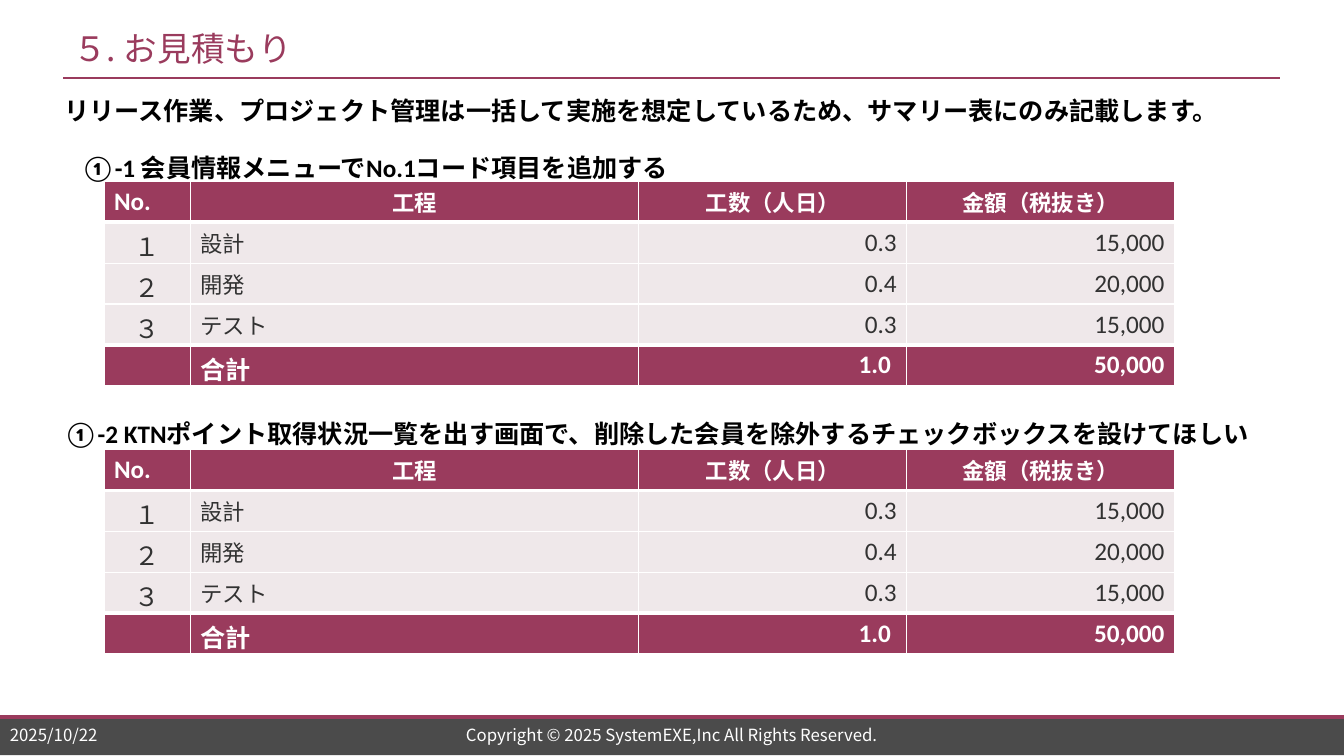
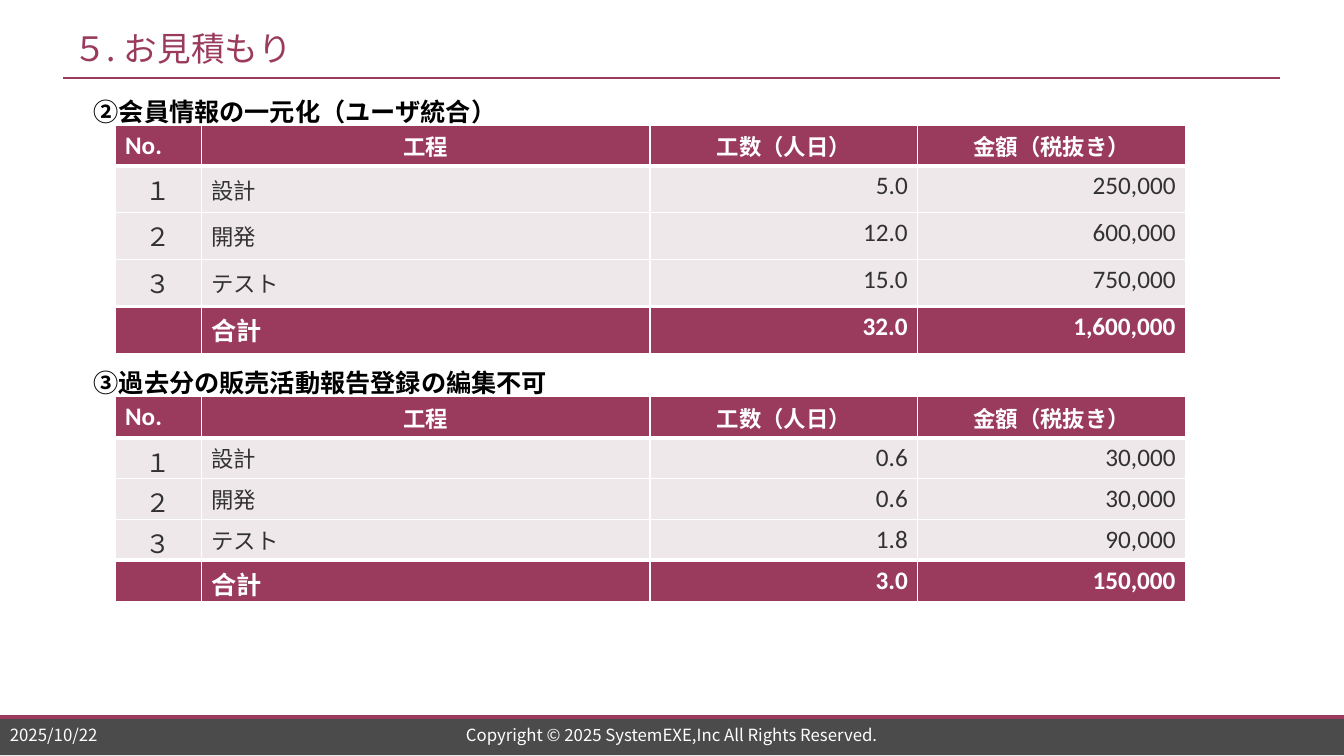
"""Build two estimate slides with cost tables."""
import lxml.etree
import pptx
import pptx.dml.color
import pptx.enum.shapes
import pptx.enum.text
import pptx.oxml.ns
import pptx.util

Cm = pptx.util.Cm
Pt = pptx.util.Pt
RGB = pptx.dml.color.RGBColor
ALIGN = pptx.enum.text.PP_ALIGN
ANCHOR = pptx.enum.text.MSO_ANCHOR
qn = pptx.oxml.ns.qn

WINE = RGB(0x9A, 0x3B, 0x5D)
PALE = RGB(0xEF, 0xE8, 0xEA)
GREY = RGB(0x4B, 0x4B, 0x4B)
INK = RGB(0x32, 0x32, 0x32)
BLACK = RGB(0, 0, 0)
WHITE = RGB(255, 255, 255)
NOTO = "Noto Sans CJK JP"
LATIN = "Calibri"

WIDE, HIGH = 33.87, 19.05
ROW, TALL = 1.03, 1.18
COLS = (2.18, 11.3, 6.75, 6.75)
TITLE = "５. お見積もり"
DATE = "2025/10/22"
RIGHTS = "Copyright © 2025 SystemEXE,Inc All Rights Reserved."
HEAD = ("No.", "工程", "工数（人日）", "金額（税抜き）")
STEPS = ("設計", "開発", "テスト")
NUMS = "１２３"

SMALL = {
    "days": ("0.3", "0.4", "0.3", "1.0 "),
    "costs": ("15,000", "20,000", "15,000", "50,000"),
    "row": ROW,
}
SLIDES = [
    {
        "left": 2.62,
        "notes": [
            (1.37, 2.29, "リリース作業、プロジェクト管理は一括して実施を想定しているため、サマリー表にのみ記載します。"),
            (1.8, 3.71, "①-1 会員情報メニューでNo.1コード項目を追加する"),
            (1.37, 10.41, "①-2 KTNポイント取得状況一覧を出す画面で、削除した会員を除外するチェックボックスを設けてほしい"),
        ],
        "tables": [{"top": 4.57, **SMALL}, {"top": 11.33, **SMALL}],
    },
    {
        "left": 2.9,
        "notes": [
            (2.11, 2.31, "②会員情報の一元化（ユーザ統合）"),
            (2.11, 9.14, "③過去分の販売活動報告登録の編集不可"),
        ],
        "tables": [
            {
                "top": 3.15,
                "days": ("5.0", "12.0", "15.0", "32.0"),
                "costs": ("250,000", "600,000", "750,000", "1,600,000"),
                "row": TALL,
            },
            {
                "top": 10.0,
                "days": ("0.6", "0.6", "1.8", "3.0"),
                "costs": ("30,000", "30,000", "90,000", "150,000"),
                "row": ROW,
            },
        ],
    },
]


def style(para, face, size, color, bold=False, align=ALIGN.LEFT):
    para.alignment = align
    font = para.font
    font.name, font.size, font.bold = face, Pt(size), bold
    font.color.rgb = color
    props = para._p.find(".//" + qn("a:defRPr"))
    lxml.etree.SubElement(props, qn("a:ea"), typeface=NOTO)


def label(slide, box, text, face, size, color, bold=False,
          align=ALIGN.LEFT, anchor=ANCHOR.MIDDLE):
    frame = slide.shapes.add_textbox(*map(Cm, box)).text_frame
    frame.word_wrap = True
    frame.vertical_anchor = anchor
    frame.text = text
    style(frame.paragraphs[0], face, size, color, bold, align)


def rule(slide, left, right, top, width):
    line = slide.shapes.add_connector(
        pptx.enum.shapes.MSO_CONNECTOR.STRAIGHT,
        Cm(left), Cm(top), Cm(right), Cm(top))
    line.line.color.rgb = WINE
    line.line.width = Pt(width)
    lxml.etree.SubElement(line._element.spPr, qn("a:effectLst"))


def decorate(slide):
    band = slide.shapes.add_shape(
        pptx.enum.shapes.MSO_SHAPE.RECTANGLE,
        0, Cm(18.03), Cm(WIDE), Cm(1))
    band.shadow.inherit = False
    band.fill.solid()
    band.fill.fore_color.rgb = GREY
    band.line.fill.background()
    rule(slide, 0, WIDE, 18.06, 2.75)
    rule(slide, 1.6, 32.26, 1.97, 1.5)
    label(slide, (1.6, 0.5, 30.66, 1.4), TITLE, NOTO, 24, WINE)
    label(slide, (0, 18.2, 4, 0.62), DATE, NOTO, 12, WHITE)
    label(slide, (8.43, 18.2, 17, 0.62), RIGHTS, NOTO, 12, WHITE,
          align=ALIGN.CENTER)


def border(cell, row, last):
    thick = {"T": row in (1, last), "B": row in (0, last - 1)}
    props = cell._tc.get_or_add_tcPr()
    for side in "LRTB":
        width = Pt(3 if thick.get(side) else 1)
        line = lxml.etree.SubElement(props, qn("a:ln" + side), w=str(width))
        fill = lxml.etree.SubElement(line, qn("a:solidFill"))
        lxml.etree.SubElement(fill, qn("a:srgbClr"), val=str(WHITE))


def paint(cell, text, row, col, last):
    head, strong = row == 0, row in (0, last)
    border(cell, row, last)
    cell.fill.solid()
    cell.fill.fore_color.rgb = WINE if strong else PALE
    cell.margin_bottom = 0
    mid = (head and col > 0) or (col == 1 and not strong)
    if mid:
        cell.vertical_anchor = ANCHOR.MIDDLE
        cell.margin_top = cell.margin_bottom = Cm(0.03)
    if head and col:
        cell.margin_left = cell.margin_right = Cm(0.03)
        align = ALIGN.CENTER
    elif head or col == 1:
        align = ALIGN.LEFT
    else:
        align = ALIGN.RIGHT if col else ALIGN.CENTER
    cell.text = text
    style(cell.text_frame.paragraphs[0], NOTO if mid else LATIN,
          16 if mid else 18, WHITE if strong else INK, strong, align)


def grid(slide, left, data):
    names = zip((*NUMS, ""), (*STEPS, "合計"), data["days"], data["costs"])
    rows = [HEAD, *names]
    last = len(rows) - 1
    highs = [ROW] + [data["row"]] * last
    table = slide.shapes.add_table(
        len(rows), len(COLS), Cm(left), Cm(data["top"]),
        Cm(sum(COLS)), Cm(sum(highs))).table
    table.horz_banding = False
    for col, width in enumerate(COLS):
        table.columns[col].width = Cm(width)
    for row, texts in enumerate(rows):
        table.rows[row].height = Cm(highs[row])
        for col, text in enumerate(texts):
            paint(table.cell(row, col), text, row, col, last)


def main():
    deck = pptx.Presentation()
    deck.slide_width, deck.slide_height = Cm(WIDE), Cm(HIGH)
    for page in SLIDES:
        slide = deck.slides.add_slide(deck.slide_layouts[6])
        decorate(slide)
        for data in page["tables"]:
            grid(slide, page["left"], data)
        for left, top, text in page["notes"]:
            label(slide, (left, top, 31, 1.03), text, LATIN, 18, BLACK,
                  True, anchor=ANCHOR.TOP)
    deck.save("out.pptx")


if __name__ == "__main__":
    main()
